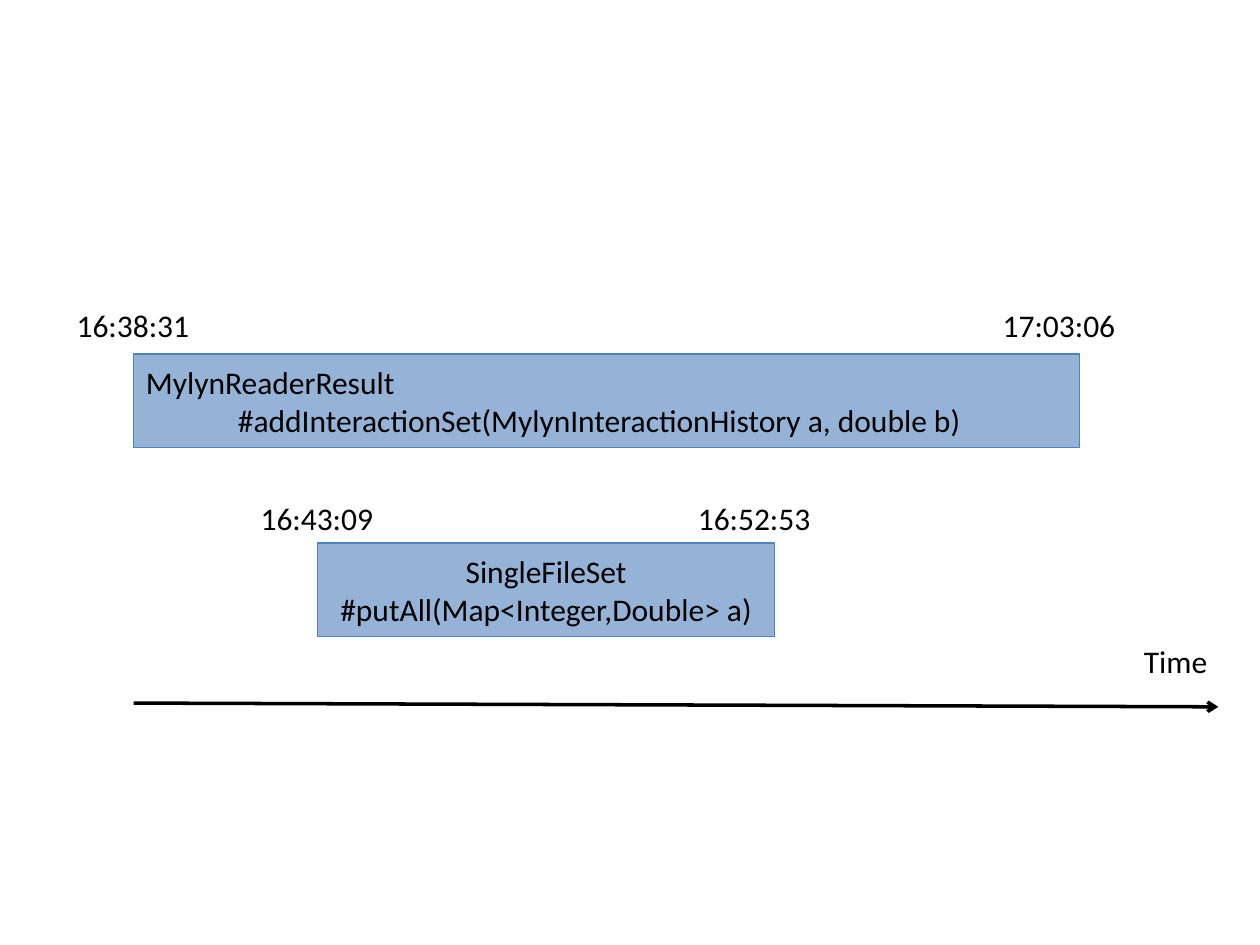
import pptx
import pptx.dml.color
import pptx.enum.shapes
import pptx.enum.text
import pptx.util
from lxml import etree
from pptx.oxml.ns import qn

Inches = pptx.util.Inches
Alignment = pptx.enum.text.PP_ALIGN

CALLS = [
    {
        "lines": [
            ("MylynReaderResult", 0),
            ("#addInteractionSet(MylynInteractionHistory a, double b)", 0.73),
        ],
        "alignment": Alignment.LEFT,
        "left": 1.06, "top": 2.81, "width": 7.51,
        "start": "16:38:31", "end": "17:03:06", "label_top": 2.38,
    },
    {
        "lines": [("SingleFileSet", 0), ("#putAll(Map<Integer,Double> a)", 0)],
        "alignment": Alignment.CENTER,
        "left": 2.52, "top": 4.31, "width": 3.63,
        "start": "16:43:09", "end": "16:52:53", "label_top": 3.91,
    },
]
AXIS = {"label": "Time", "label_at": (8.98, 5.05, 0.71),
        "from": (1.06, 5.58), "to": (9.67, 5.61)}
BAR_HEIGHT = 0.74
LABEL_WIDTH, LABEL_HEIGHT = 1.1, 0.4
END_LABEL_OVERLAP = 0.71

THEME = {
    "font": "Calibri",
    "size": 18,
    "text": "000000",
    "bar": "95B3D7",
    "bar_line": "4F81BD",
    "bar_line_width": 0.75,
    "axis": "000000",
    "axis_width": 2,
}


def color(name):
    return pptx.dml.color.RGBColor.from_string(THEME[name])


def write_paragraph(paragraph, text, alignment=Alignment.LEFT):
    paragraph.text = text
    paragraph.alignment = alignment
    paragraph.font.name = THEME["font"]
    paragraph.font.size = pptx.util.Pt(THEME["size"])
    paragraph.font.color.rgb = color("text")


def add_label(slide, text, left, top, width):
    box = slide.shapes.add_textbox(
        Inches(left), Inches(top), Inches(width), Inches(LABEL_HEIGHT))
    box.text_frame.word_wrap = False
    box.text_frame.auto_size = pptx.enum.text.MSO_AUTO_SIZE.SHAPE_TO_FIT_TEXT
    write_paragraph(box.text_frame.paragraphs[0], text)


def add_call(slide, call):
    bar = slide.shapes.add_shape(
        pptx.enum.shapes.MSO_SHAPE.RECTANGLE,
        Inches(call["left"]), Inches(call["top"]),
        Inches(call["width"]), Inches(BAR_HEIGHT))
    bar.shadow.inherit = False
    bar.fill.solid()
    bar.fill.fore_color.rgb = color("bar")
    bar.line.color.rgb = color("bar_line")
    bar.line.width = pptx.util.Pt(THEME["bar_line_width"])
    frame = bar.text_frame
    frame.word_wrap = True
    frame.vertical_anchor = pptx.enum.text.MSO_ANCHOR.MIDDLE
    for index, (text, indent) in enumerate(call["lines"]):
        paragraph = frame.add_paragraph() if index else frame.paragraphs[0]
        write_paragraph(paragraph, text, call["alignment"])
        if indent:
            paragraph._p.get_or_add_pPr().set("marL", str(Inches(indent)))

    start_left = call["left"] - LABEL_WIDTH / 2
    end_left = call["left"] + call["width"] - END_LABEL_OVERLAP
    for text, left in ((call["start"], start_left), (call["end"], end_left)):
        add_label(slide, text, left, call["label_top"], LABEL_WIDTH)


def add_axis(slide):
    arrow = slide.shapes.add_connector(
        pptx.enum.shapes.MSO_CONNECTOR.STRAIGHT,
        *(Inches(value) for value in AXIS["from"] + AXIS["to"]))
    arrow.line.color.rgb = color("axis")
    arrow.line.width = pptx.util.Pt(THEME["axis_width"])
    etree.SubElement(arrow.line._get_or_add_ln(), qn("a:tailEnd"), type="arrow")
    etree.SubElement(arrow._element.spPr, qn("a:effectLst"))
    add_label(slide, AXIS["label"], *AXIS["label_at"])


def main():
    presentation = pptx.Presentation()
    presentation.slide_width = Inches(10)
    presentation.slide_height = Inches(7.5)
    slide = presentation.slides.add_slide(presentation.slide_layouts[6])
    for call in CALLS:
        add_call(slide, call)
    add_axis(slide)
    presentation.save("out.pptx")


if __name__ == "__main__":
    main()
